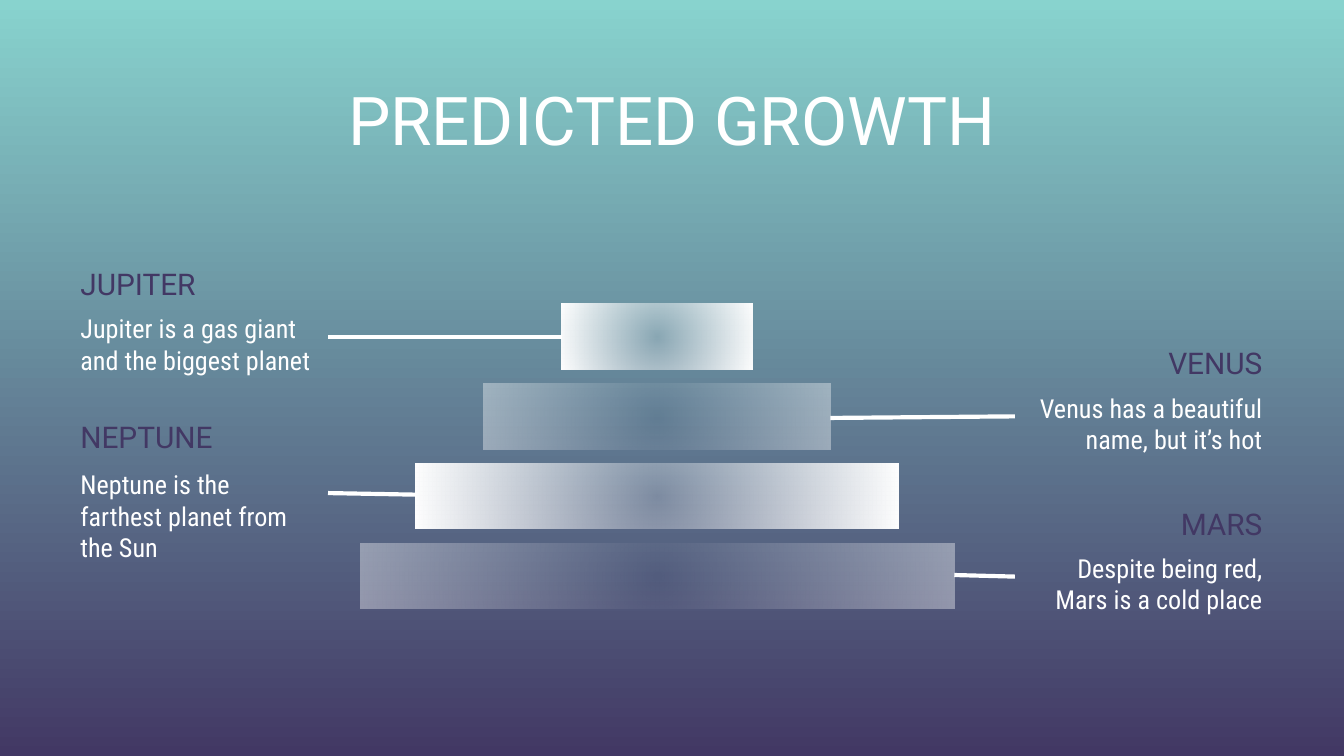
"""Build the Predicted Growth slide with a four-step planet pyramid."""
from typing import NamedTuple

from lxml.etree import SubElement
from pptx import Presentation
from pptx.dml.color import RGBColor
from pptx.enum.shapes import MSO_CONNECTOR, MSO_SHAPE
from pptx.enum.text import MSO_ANCHOR, PP_ALIGN
from pptx.oxml import parse_xml
from pptx.oxml.ns import nsdecls, qn
from pptx.slide import Slide
from pptx.util import Cm, Pt

WHITE, PURPLE, AQUA = "FFFFFF", "423864", "88D3CE"
BAR_CENTER, BAR_TOP, BAR_STEP, BAR_HEIGHT = 12.42, 5.74, 1.51, 1.24
CAPTION_WIDTH, LEFT_CAPTION, RIGHT_CAPTION = 4.93, 1.27, 19.18
HEADING_HEIGHT, BODY_HEIGHT = 0.84, 1.42

TITLE_FORMAT = {"name": "Roboto", "size": Pt(36)}
HEADING_FORMAT = {"name": "Roboto", "size": Pt(16)}
BODY_FORMAT = {"name": "Roboto Condensed", "size": Pt(14)}


class Box(NamedTuple):
    """Position and size in centimetres."""
    left: float
    top: float
    width: float
    height: float


class Step(NamedTuple):
    """One pyramid bar with its caption; lengths in centimetres."""
    heading: str
    body: str
    on_left: bool
    bar_width: float
    heading_top: float
    body_top: float
    line_top: float
    center_alpha: int
    edge_alpha: int


STEPS = [
    Step("JUPITER", "Jupiter is a gas giant and the biggest planet",
         True, 3.61, 4.78, 5.66, 6.37, 21, 100),
    Step("VENUS", "Venus has a beautiful name, but it’s hot",
         False, 6.55, 6.27, 7.16, 7.9, 0, 39),
    Step("NEPTUNE", "Neptune is the farthest planet from the Sun",
         True, 9.12, 7.67, 8.61, 9.35, 21, 100),
    Step("MARS", "Despite being red, Mars is a cold place",
         False, 11.23, 9.3, 10.19, 10.87, 0, 39),
]


def color(value: str) -> RGBColor:
    """Turn a hex string into a colour."""
    return RGBColor.from_string(value)


def paint_background(slide: Slide) -> None:
    """Fill the slide with a gradient from aqua at the top to purple."""
    fill = slide.background.fill
    fill.gradient()
    fill.gradient_angle = 270
    for stop, position, value in zip(fill.gradient_stops, (0, 1), (AQUA, PURPLE)):
        stop.position = position
        stop.color.rgb = color(value)


def add_text(slide: Slide, box: Box, text: str, font_format: dict,
             value: str, alignment: PP_ALIGN) -> None:
    """Add a wrapped, top-anchored text box with one paragraph."""
    frame = slide.shapes.add_textbox(*map(Cm, box)).text_frame
    frame_format = {"word_wrap": True, "vertical_anchor": MSO_ANCHOR.TOP}
    for side in ("left", "top", "right", "bottom"):
        frame_format[f"margin_{side}"] = Cm(0.25)
    for name, setting in frame_format.items():
        setattr(frame, name, setting)
    paragraph = frame.paragraphs[0]
    paragraph.alignment = alignment
    run = paragraph.add_run()
    run.text = text
    for name, setting in font_format.items():
        setattr(run.font, name, setting)
    run.font.color.rgb = color(value)


def add_bar(slide: Slide, box: Box, center_alpha: int, edge_alpha: int) -> None:
    """Add a white bar whose opacity changes from its centre to its edge."""
    shape = slide.shapes.add_shape(MSO_SHAPE.RECTANGLE, *map(Cm, box))
    stops = "".join(
        f'<a:gs pos="{position}"><a:srgbClr val="{WHITE}">'
        f'<a:alpha val="{alpha * 1000}"/></a:srgbClr></a:gs>'
        for position, alpha in ((0, center_alpha), (100000, edge_alpha)))
    gradient = parse_xml(
        f'<a:gradFill {nsdecls("a")} rotWithShape="1"><a:gsLst>{stops}</a:gsLst>'
        '<a:path path="circle"><a:fillToRect l="50000" t="50000" r="50000" '
        'b="50000"/></a:path></a:gradFill>')
    shape._element.spPr.find(qn("a:prstGeom")).addnext(gradient)
    shape.line.fill.background()
    shape.shadow.inherit = False


def add_line(slide: Slide, start: tuple[float, float], end: tuple[float, float]) -> None:
    """Add a white line between two points."""
    connector = slide.shapes.add_connector(
        MSO_CONNECTOR.STRAIGHT, *map(Cm, (*start, *end)))
    connector.line.color.rgb = color(WHITE)
    connector.line.width = Pt(2.25)
    SubElement(connector._element.spPr, qn("a:effectLst"))


def add_step(slide: Slide, index: int, step: Step) -> None:
    """Add a bar, its connecting line and its caption."""
    bar = Box(BAR_CENTER - step.bar_width / 2, BAR_TOP + index * BAR_STEP,
              step.bar_width, BAR_HEIGHT)
    add_bar(slide, bar, step.center_alpha, step.edge_alpha)
    if step.on_left:
        left, alignment = LEFT_CAPTION, PP_ALIGN.LEFT
        bar_edge, caption_edge = bar.left, left + CAPTION_WIDTH
    else:
        left, alignment = RIGHT_CAPTION, PP_ALIGN.RIGHT
        bar_edge, caption_edge = bar.left + bar.width, left
    add_line(slide, (caption_edge, step.body_top + BODY_HEIGHT / 2),
             (bar_edge, step.line_top))
    add_text(slide, Box(left, step.heading_top, CAPTION_WIDTH, HEADING_HEIGHT),
             step.heading, HEADING_FORMAT, PURPLE, alignment)
    add_text(slide, Box(left, step.body_top, CAPTION_WIDTH, BODY_HEIGHT),
             step.body, BODY_FORMAT, WHITE, alignment)


def main() -> None:
    """Create and save the presentation."""
    presentation = Presentation()
    presentation.slide_width, presentation.slide_height = Cm(25.4), Cm(14.29)
    slide = presentation.slides.add_slide(presentation.slide_layouts[6])
    paint_background(slide)
    add_text(slide, Box(1.27, 1.24, 22.86, 1.85), "PREDICTED GROWTH",
             TITLE_FORMAT, WHITE, PP_ALIGN.CENTER)
    for index, step in enumerate(STEPS):
        add_step(slide, index, step)
    presentation.save("out.pptx")


if __name__ == "__main__":
    main()
